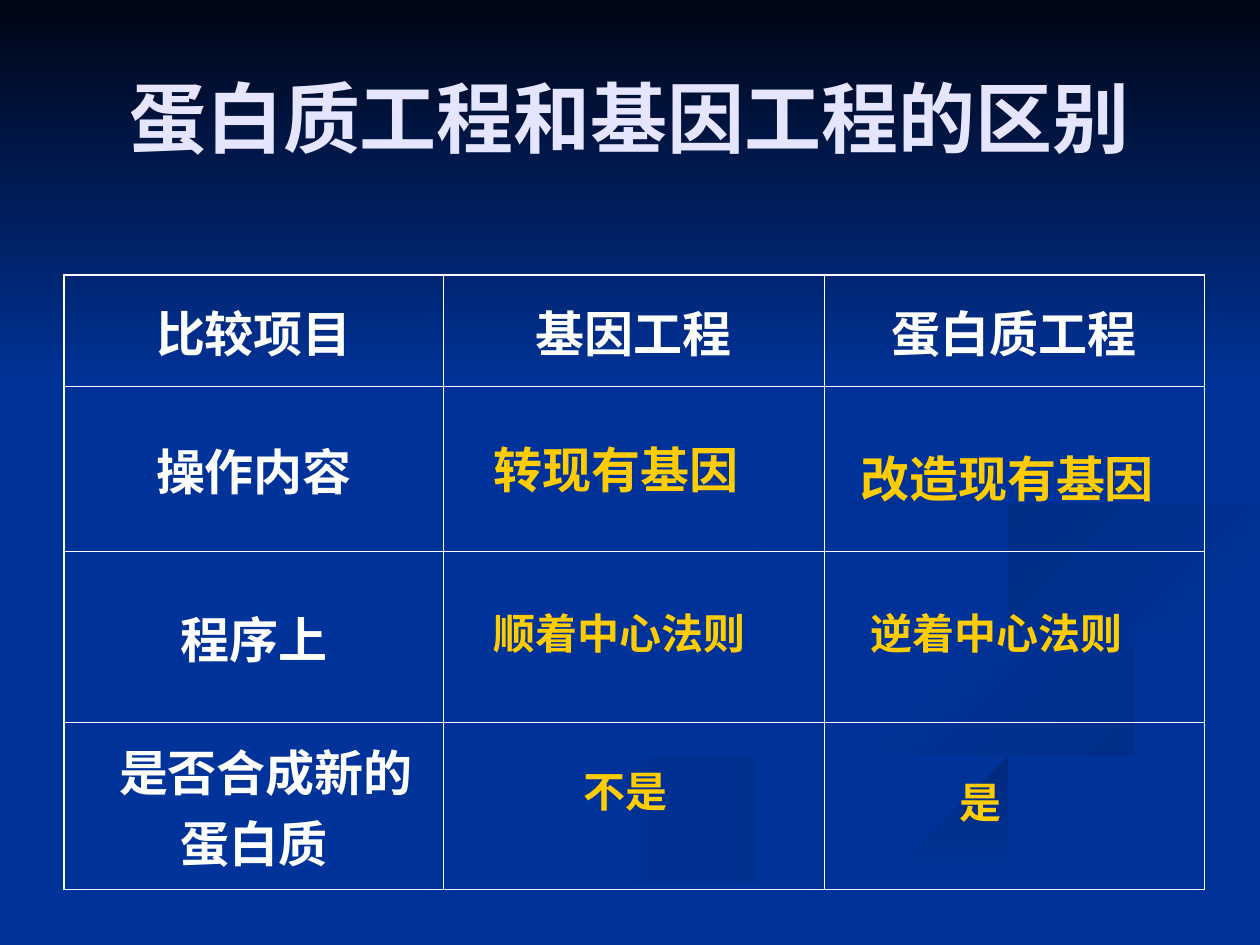
import pptx
import pptx.dml.color
import pptx.enum.shapes
import pptx.enum.text
import pptx.oxml
import pptx.oxml.ns
import pptx.util

Inches, Pt = pptx.util.Inches, pptx.util.Pt
RGBColor = pptx.dml.color.RGBColor
ALIGN, ANCHOR = pptx.enum.text.PP_ALIGN, pptx.enum.text.MSO_ANCHOR

BLUE = RGBColor.from_string("003399")
NIGHT = RGBColor.from_string("000514")
WHITE = RGBColor.from_string("FFFFFF")
LILAC = RGBColor.from_string("E5E5FF")
GOLD = RGBColor.from_string("FFCC00")
DUSK = RGBColor.from_string("002E8B")
DEEP = RGBColor.from_string("002A7D")
DIM = RGBColor.from_string("002D86")
DARK = RGBColor.from_string("002B82")
FONT = "Times New Roman"

TITLE = "蛋白质工程和基因工程的区别"
ROWS = [
    ("比较项目", "基因工程", "蛋白质工程"),
    ("操作内容", "", ""),
    ("程序上", "", ""),
    ("是否合成新的蛋白质", "", ""),
]
WIDTHS = (3.01, 3.02, 3.02)
HEIGHTS = (0.89, 1.31, 1.35, 1.33)
# text, left, top, width, size
ANSWERS = [
    ("顺着中心法则", 3.82, 4.77, 2.44, 24),
    ("逆着中心法则", 6.81, 4.77, 2.44, 24),
    ("是", 7.52, 6.11, 0.79, 24),
    ("不是", 4.53, 6.03, 0.94, 24),
    ("转现有基因", 3.82, 3.44, 2.44, 28),
    ("改造现有基因", 6.73, 3.51, 2.76, 28),
]
# first colour, last colour, clockwise angle, then the smooth edges in turn
RIBBONS = [
    (BLUE, DUSK, 0, [
        [(5.75, 4.59), (6.11, 4.99), (7.14, 5.3), (7.86, 5.66), (7.14, 6.05),
         (4.99, 6.61), (3, 7.49)],
        [(3.61, 7.49), (5.32, 6.74), (7.4, 6.18), (8, 5.81), (7.45, 5.38),
         (6.14, 4.96), (5.75, 4.59)]]),
    (BLUE, DUSK, 45, [
        [(7.24, 4.64), (7.66, 5.12), (8.68, 5.44), (9.18, 5.81), (8.94, 6.05)],
        [(8.94, 6.05), (9.43, 5.7), (8.7, 5.3), (7.58, 4.98), (7.24, 4.64)]]),
    (DEEP, BLUE, 90, [
        [(5.03, 7.49), (6.3, 6.93), (7.64, 6.47), (9.98, 5.81)],
        [(9.98, 6.09), (7.52, 6.72), (5.71, 7.49)]]),
    (BLUE, BLUE, 0, [
        [(9.99, 3.87), (8.3, 4.15), (7.25, 4.64), (8.12, 5.15), (9.43, 5.7),
         (7.43, 6.43), (4.77, 7.49)],
        [(5.03, 7.49), (6.96, 6.69), (9.99, 5.81)],
        [(9.99, 5.38), (8.48, 5.03), (7.81, 4.63), (8.5, 4.27), (9.99, 4.02)]]),
    (DIM, BLUE, 45, [
        [(9.98, 4.02), (8.49, 4.27), (7.81, 4.6), (8.26, 4.96)],
        [(8.26, 4.96), (8.05, 4.72), (8.59, 4.43), (9.98, 4.2)]]),
    (DARK, BLUE, 45, [
        [(7.62, 2.33), (8.46, 2.79), (8.89, 3.35), (8.18, 3.86), (6.49, 4.2),
         (5.77, 4.62), (6.22, 5)],
        [(6.22, 5), (5.94, 4.65), (6.83, 4.3), (8.41, 3.96), (8.94, 3.44),
         (8.43, 2.75), (7.62, 2.33)]]),
]


def curve(knots, steps=6):
    """Points of a Catmull-Rom spline through the knots."""
    ends = [knots[0], *knots, knots[-1]]
    points = [knots[0]]
    for quad in zip(ends, ends[1:], ends[2:], ends[3:]):
        for step in range(1, steps + 1):
            t = step / steps
            points.append(tuple(
                b + t * (c - a) / 2 + t**2 * (2 * a - 5 * b + 4 * c - d) / 2
                + t**3 * (3 * b - a - 3 * c + d) / 2
                for a, b, c, d in zip(*quad)))
    return points


def shade(shape, first, last, angle):
    """Fill with a gradient whose angle runs clockwise; no line or shadow."""
    shape.shadow.inherit = False
    shape.line.fill.background()
    if first == last:
        shape.fill.solid()
        shape.fill.fore_color.rgb = first
        return
    shape.fill.gradient()
    shape.fill.gradient_angle = (360 - angle) % 360
    for stop, color in zip(shape.fill.gradient_stops, (first, last)):
        stop.color.rgb = color


def write(frame, text, size, color, align):
    para = frame.paragraphs[0]
    para.alignment = align
    run = para.add_run()
    run.text = text
    font = run.font
    font.name, font.size, font.bold = FONT, Pt(size), True
    font.color.rgb = color
    return para


def label(slide, place, text, size, color, align=ALIGN.LEFT, anchor=ANCHOR.TOP):
    frame = slide.shapes.add_textbox(*map(Inches, place)).text_frame
    frame.word_wrap = True
    frame.vertical_anchor = anchor
    write(frame, text, size, color, align)


def border(cell, side, width):
    line = pptx.oxml.parse_xml(
        f'<a:ln{side} {pptx.oxml.ns.nsdecls("a")} w="{Pt(width)}"><a:solidFill>'
        f'<a:srgbClr val="{WHITE}"/></a:solidFill></a:ln{side}>')
    cell._tc.get_or_add_tcPr().append(line)


def add_grid(slide):
    frame = slide.shapes.add_table(len(ROWS), len(WIDTHS), Inches(0.51), Inches(2.18),
                                   Inches(sum(WIDTHS)), Inches(sum(HEIGHTS)))
    table = frame.table
    table.first_row = table.horz_banding = False
    for col, width in zip(table.columns, WIDTHS):
        col.width = Inches(width)
    for row, height in zip(table.rows, HEIGHTS):
        row.height = Inches(height)
    for r, texts in enumerate(ROWS):
        for c, text in enumerate(texts):
            cell = table.cell(r, c)
            cell.vertical_anchor = ANCHOR.MIDDLE
            outer = {"L": c == 0, "R": c == len(WIDTHS) - 1,
                     "T": r == 0, "B": r == len(ROWS) - 1}
            for side, edge in outer.items():
                border(cell, side, 1.08 if edge else 0.45)
            cell.fill.background()
            if text:
                para = write(cell.text_frame, text, 28, WHITE, ALIGN.CENTER)
                if r == len(ROWS) - 1:
                    para._p.get_or_add_pPr().set("indent", str(Inches(0.19)))


def main():
    deck = pptx.Presentation()
    deck.slide_width, deck.slide_height = Inches(10), Inches(7.5)
    slide = deck.slides.add_slide(deck.slide_layouts[6])
    slide.background.fill.solid()
    slide.background.fill.fore_color.rgb = BLUE

    for first, last, angle, edges in RIBBONS:
        points = [point for edge in edges for point in curve(edge)]
        path = slide.shapes.build_freeform(*points[0], scale=Inches(1))
        path.add_line_segments(points[1:], close=True)
        shade(path.convert_to_shape(), first, last, angle)
    sky = slide.shapes.add_shape(pptx.enum.shapes.MSO_SHAPE.RECTANGLE,
                                 0, 0, Inches(10), Inches(3.08))
    shade(sky, NIGHT, BLUE, 90)

    label(slide, (0.5, 0.3, 9, 1.25), TITLE, 44, LILAC, ALIGN.CENTER, ANCHOR.MIDDLE)
    add_grid(slide)
    for text, left, top, width, size in ANSWERS:
        height = 0.5 if size == 24 else 0.57
        label(slide, (left, top, width, height), text, size, GOLD)
    deck.save("out.pptx")


if __name__ == "__main__":
    main()
